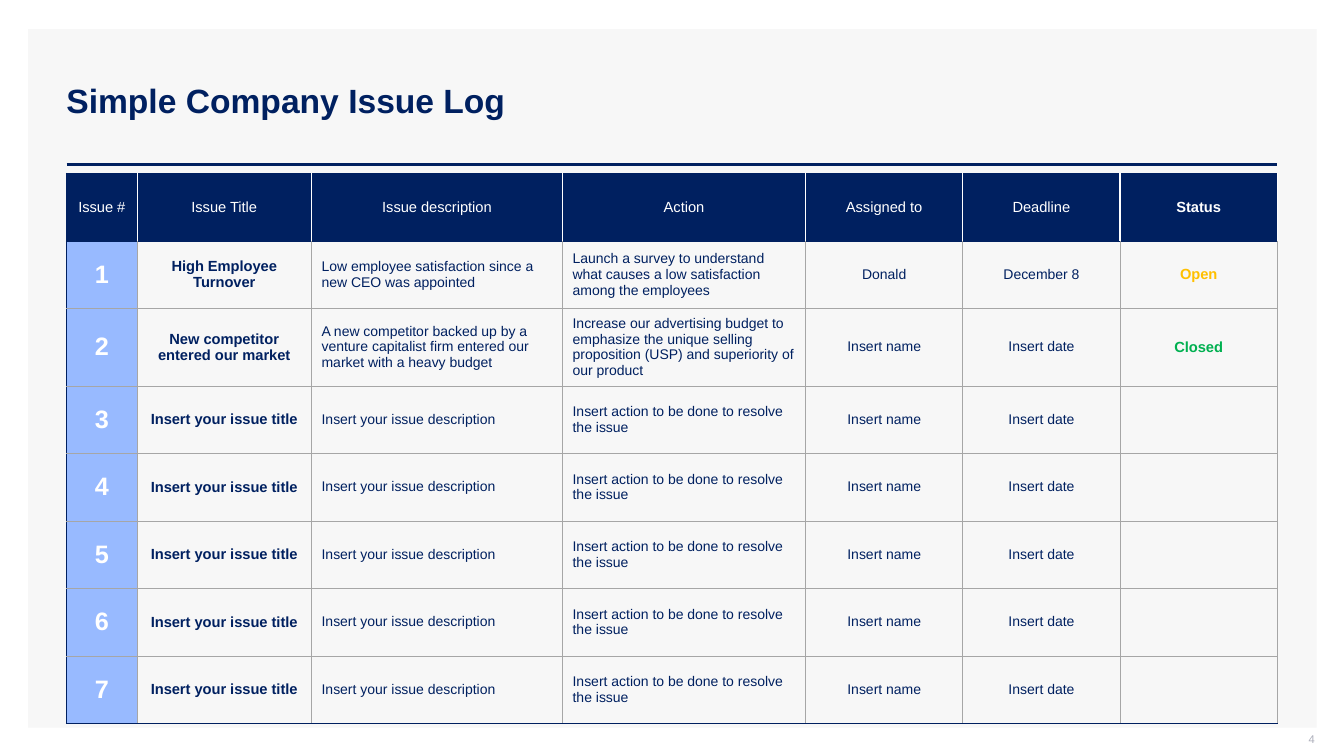
"""Build a one-slide company issue log with a status table."""
from lxml.etree import SubElement
from pptx import Presentation
from pptx.dml.color import RGBColor
from pptx.enum.shapes import MSO_CONNECTOR, MSO_SHAPE
from pptx.enum.text import MSO_ANCHOR, PP_ALIGN
from pptx.oxml.ns import qn
from pptx.util import Inches, Pt

COLORS = {
    "navy": "002060",
    "blue": "98BAFF",
    "panel": "F7F7F7",
    "grid": "A6A6A6",
    "white": "FFFFFF",
    "open": "FFC000",
    "closed": "00B050",
    "number": "ADAFBB",
}
HEADERS = ["Issue #", "Issue Title", "Issue description", "Action",
           "Assigned to", "Deadline", "Status"]
ISSUES = [
    ["High Employee Turnover",
     "Low employee satisfaction since a new CEO was appointed",
     "Launch a survey to understand what causes a low satisfaction among the employees",
     "Donald", "December 8", "Open"],
    ["New competitor entered our market",
     "A new competitor backed up by a venture capitalist firm entered our market with a heavy budget",
     "Increase our advertising budget to emphasize the unique selling proposition (USP) and superiority of our product",
     "Insert name", "Insert date", "Closed"],
]
ISSUES += [["Insert your issue title", "Insert your issue description",
            "Insert action to be done to resolve the issue",
            "Insert name", "Insert date", ""]] * 5
COLUMN_WIDTHS = [0.7, 1.73, 2.49, 2.41, 1.56, 1.56, 1.56]
ROW_HEIGHT = 0.67


def write_text(frame, text, size=10, color="navy", bold=False, align=PP_ALIGN.LEFT):
    frame.word_wrap = True
    paragraph = frame.paragraphs[0]
    paragraph.alignment = align
    run = paragraph.add_run()
    run.text = text
    run.font.name = "Arial"
    run.font.size = Pt(size)
    run.font.bold = bold
    run.font.color.rgb = RGBColor.from_string(COLORS[color])


def set_borders(cell, **sides):
    properties = cell._tc.get_or_add_tcPr()
    for side in "LRTB":
        color, width = sides.get(side, ("grid", 0.5))
        line = SubElement(properties, qn(f"a:ln{side}"), w=str(Pt(width)))
        fill = SubElement(line, qn("a:solidFill"))
        SubElement(fill, qn("a:srgbClr"), val=COLORS[color])


presentation = Presentation()
presentation.slide_width = Inches(13.33)
presentation.slide_height = Inches(7.5)
slide = presentation.slides.add_slide(presentation.slide_layouts[6])

panel = slide.shapes.add_shape(
    MSO_SHAPE.RECTANGLE, Inches(0.28), Inches(0.29), Inches(12.78), Inches(6.93))
panel.shadow.inherit = False
panel.fill.solid()
panel.fill.fore_color.rgb = RGBColor.from_string(COLORS["panel"])
panel.line.fill.background()

rule = slide.shapes.add_connector(
    MSO_CONNECTOR.STRAIGHT, Inches(0.66), Inches(1.63), Inches(12.67), Inches(1.63))
rule.line.color.rgb = RGBColor.from_string(COLORS["navy"])
rule.line.width = Pt(2)
SubElement(rule._element.spPr, qn("a:effectLst"))

title = slide.shapes.add_textbox(Inches(0.56), Inches(0.4), Inches(12.11), Inches(1.19))
title.text_frame.vertical_anchor = MSO_ANCHOR.MIDDLE
write_text(title.text_frame, "Simple Company Issue Log", size=24, bold=True)

page_number = slide.shapes.add_textbox(Inches(10.04), Inches(7.25), Inches(3), Inches(0.21))
page_frame = page_number.text_frame
page_frame.vertical_anchor = MSO_ANCHOR.MIDDLE
page_frame.margin_top = page_frame.margin_right = 0
write_text(page_frame, "4", size=8, color="number", align=PP_ALIGN.RIGHT)

row_count = len(ISSUES) + 1
table = slide.shapes.add_table(
    row_count, len(HEADERS), Inches(0.66), Inches(1.72),
    Inches(sum(COLUMN_WIDTHS)), Inches(ROW_HEIGHT * row_count)).table
table.horz_banding = False
for column, width in zip(table.columns, COLUMN_WIDTHS):
    column.width = Inches(width)
for row in table.rows:
    row.height = Inches(ROW_HEIGHT)

for column_index, header in enumerate(HEADERS):
    cell = table.cell(0, column_index)
    cell.vertical_anchor = MSO_ANCHOR.MIDDLE
    left_color = "white" if column_index else "navy"
    set_borders(cell, L=(left_color, 1), R=("white", 1), T=("navy", 1), B=("navy", 0.5))
    cell.fill.solid()
    cell.fill.fore_color.rgb = RGBColor.from_string(COLORS["navy"])
    write_text(cell.text_frame, header, size=10.5, color="white",
               bold=header == "Status", align=PP_ALIGN.CENTER)

for row_index, issue in enumerate(ISSUES, start=1):
    for column_index, text in enumerate([str(row_index), *issue]):
        cell = table.cell(row_index, column_index)
        cell.vertical_anchor = MSO_ANCHOR.MIDDLE
        borders = {}
        if row_index == 1:
            borders["T"] = ("navy", 0.5)
        if row_index == len(ISSUES):
            borders["B"] = ("navy", 1)
        if column_index == 0:
            borders["L"] = ("navy", 1)
        set_borders(cell, **borders)

        style = {"align": PP_ALIGN.CENTER}
        if column_index == 0:
            cell.fill.solid()
            cell.fill.fore_color.rgb = RGBColor.from_string(COLORS["blue"])
            style.update(size=18, color="white", bold=True)
        else:
            cell.fill.background()
        if column_index == 1:
            style.update(size=10.5, bold=True)
        elif column_index in (2, 3):
            style.update(align=PP_ALIGN.LEFT)
        elif column_index == 6:
            style.update(size=10.5, bold=True, color=text.lower())
        if text:
            write_text(cell.text_frame, text, **style)

presentation.save("out.pptx")
